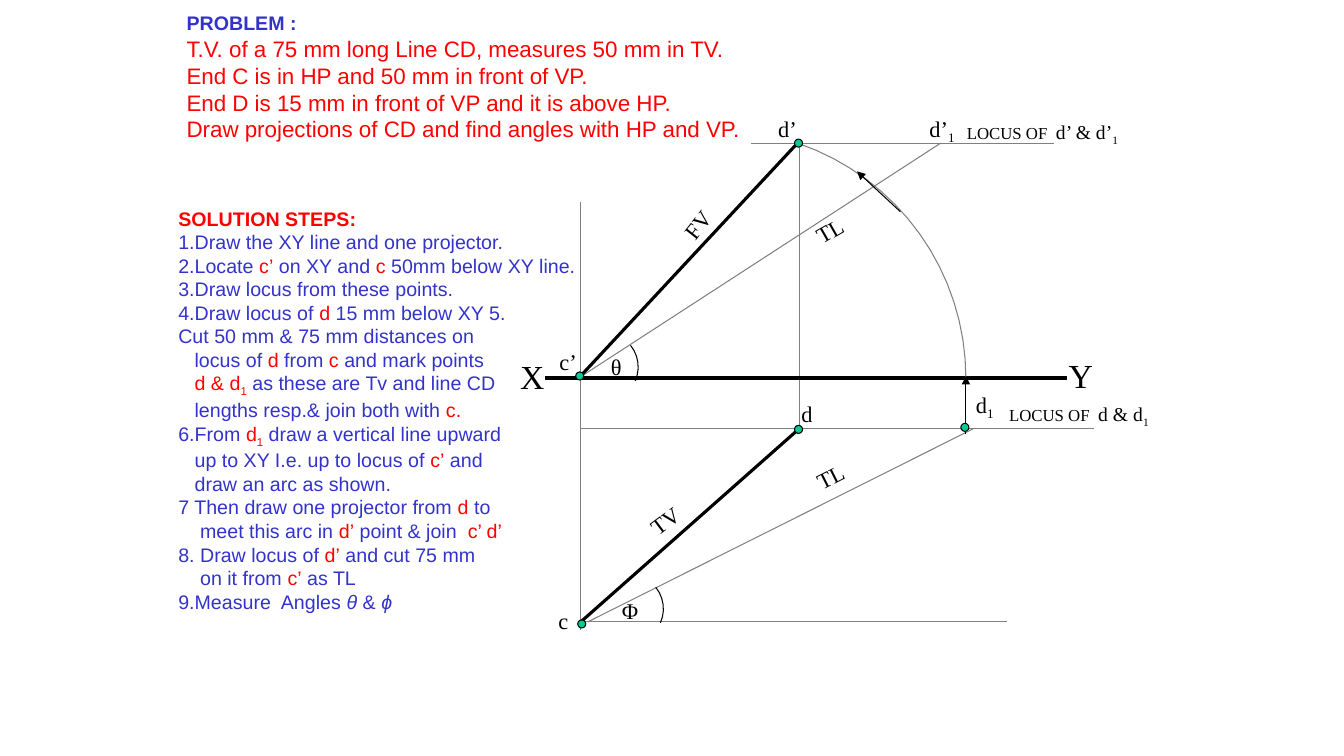
"""Build the projection-of-a-line slide: problem, solution steps and construction drawing."""
from dataclasses import dataclass
from math import cos, radians, sin

from lxml.etree import SubElement
from pptx import Presentation
from pptx.dml.color import RGBColor
from pptx.enum.shapes import MSO_CONNECTOR as Connector, MSO_SHAPE as Preset
from pptx.enum.text import MSO_ANCHOR as Anchor, PP_ALIGN as Align
from pptx.oxml.ns import qn
from pptx.util import Inches, Pt


@dataclass(frozen=True)
class Theme:
    black: str = "000000"
    grey: str = "808080"
    blue: str = "3333CC"
    red: str = "FF0000"
    green: str = "00CC99"
    sans: str = "Arial"
    serif: str = "Times New Roman"
    axis_size: int = 24
    label_size: int = 16
    body_size: int = 14
    small_size: int = 12
    thin: float = 0.75
    thick: float = 2.25


THEME = Theme()
WIDTH, HEIGHT = 13.33, 7.5
MARKS = "*_/!-+%"

PROBLEM = [
    "!%PROBLEM :| ",
    "T.V. of a 75 mm long Line CD, measures 50 mm in TV.",
    "End C is in HP and 50 mm in front of VP.",
    "End D is 15 mm in front of VP and it is above HP.",
    "Draw projections of CD and find angles with HP and VP.",
]

STEPS = [
    (0, "*!SOLUTION STEPS:"),
    (0, "1.Draw the XY line and one projector."),
    (0, "2.Locate |*c’| on XY and |*c |50mm below XY line."),
    (0, "3.Draw locus from these points."),
    (0, "4.Draw locus of |*d |15 mm below XY 5."),
    (0, "Cut 50 mm & 75 mm distances on"),
    (3, "locus of |*d| from|* c| and mark points"),
    (3, "*d & d|*_1| as these are Tv and line CD"),
    (3, "lengths resp.& join both with |*c."),
    (0, "6.From |*d|*_1| draw a vertical line upward"),
    (3, "up to XY I.e. up to locus of |*c’| and"),
    (3, "draw an arc as shown."),
    (0, "7 Then draw one projector from |*d| to"),
    (4, "meet this arc in |*d’| point & join  |*c’ d’"),
    (0, "8. Draw locus of|* d’| and cut 75 mm"),
    (4, "on it from |*c’| as TL"),
    (0, "9.Measure  Angles |/θ |& |/ϕ"),
]

C_FRONT_COL, C_COL, D_COL, D1_COL = 5.74, 5.76, 7.93, 9.58
TOP_ROW, XY_ROW, D_ROW, C_ROW = 1.42, 3.75, 4.25, 6.17

THIN_LINES = [
    ((C_COL, 2), (C_COL, 6.25)),
    ((C_COL, D_ROW), (10.85, D_ROW)),
    ((5.83, C_ROW), (9.66, D_ROW)),
    ((D_COL, D_ROW), (D_COL, TOP_ROW)),
    ((7.45, TOP_ROW), (10.45, TOP_ROW)),
    ((C_FRONT_COL, XY_ROW), (9.33, TOP_ROW)),
    ((C_FRONT_COL, C_ROW), (9.99, C_ROW)),
]
THICK_LINES = [
    ((5.41, XY_ROW), (10.58, XY_ROW)),
    ((C_COL, C_ROW), (D_COL, D_ROW)),
    ((7.91, TOP_ROW), (C_FRONT_COL, XY_ROW)),
]
ARROWS = [((8.93, 2.1), (8.5, 1.7)), ((D1_COL, 4.31), (D1_COL, 3.73))]
ARCS = [
    ((7.12, XY_ROW), 2.46, -71, 0, 16, THEME.grey),
    ((5.99, 3.64), 0.34, -39, 24, 6, THEME.black),
    ((6.24, 6.04), 0.34, -39, 24, 6, THEME.black),
]
DOT = 0.08
DOTS = [(5.75, 3.73), (5.77, 6.19), (7.92, 4.26), (9.57, 4.24), (7.92, TOP_ROW)]

LABELS = [
    ("c’", 5.45, 3.4, 0.38), ("c", 5.44, 5.97, 0.3), ("d", 7.85, 3.92, 0.31),
    ("d|_1", 9.58, 3.83, 0.39), ("d’", 7.62, 1.09, 0.39), ("d’|_1", 9.12, 1.09, 0.46),
    ("θ", 5.96, 3.45, 0.32), ("Φ", 6.07, 5.88, 0.37),
]
AXIS_LABELS = [("X", 5.06, 3.48, 0.44), ("Y", 10.5, 3.47, 0.44)]
LOCUS_LABELS = [
    ("-LOCUS OF|+ |d & d|_1", 9.91, 3.8, 1.6),
    ("-LOCUS OF|+ |d’ & d’|_1", 9.49, 1, 1.72),
]
TILTED_LABELS = [
    ("TV", 6.33, 4.92, 323.2), ("FV", 6.64, 1.97, 308.3),
    ("TL", 7.99, 4.5, 333.2), ("TL", 7.98, 2.05, 330.1),
]
MARK_SIZES = {"-": THEME.small_size, "+": THEME.axis_size, "%": THEME.body_size}


def color(code):
    return RGBColor.from_string(code)


def write(paragraph, markup, font_name, size, ink):
    paragraph.font.name, paragraph.font.size = font_name, Pt(size)
    paragraph.font.color.rgb = color(ink)
    for piece in markup.split("|"):
        text = piece.lstrip(MARKS)
        marks = piece[:len(piece) - len(text)]
        run = paragraph.add_run()
        run.text = text
        if "*" in marks:
            run.font.color.rgb = color(THEME.red)
        if "!" in marks:
            run.font.bold = True
        if "/" in marks:
            run.font.italic = True
        if "_" in marks:
            run.font._element.set("baseline", "-25000")
        for mark in MARK_SIZES.keys() & set(marks):
            run.font.size = Pt(MARK_SIZES[mark])


def place(shape, left, top, width, height):
    shape.left, shape.top = Inches(left), Inches(top)
    shape.width, shape.height = Inches(width), Inches(height)


def add_problem(slide):
    title = slide.shapes.title
    place(title, 1.75, 0.03, 5.76, 1.45)
    frame = title.text_frame
    frame.word_wrap, frame.vertical_anchor = False, Anchor.TOP
    for index, line in enumerate(PROBLEM):
        paragraph = frame.add_paragraph() if index else frame.paragraphs[0]
        paragraph.alignment = Align.LEFT
        ink = THEME.red if index else THEME.blue
        write(paragraph, line, THEME.sans, THEME.label_size, ink)


def add_steps(slide):
    frame = slide.shapes.add_textbox(*map(Inches, (1.67, 2, 4.15, 4.11))).text_frame
    for index, (spaces, line) in enumerate(STEPS):
        paragraph = frame.add_paragraph() if index else frame.paragraphs[0]
        write(paragraph, line, THEME.sans, THEME.body_size, THEME.blue)
        properties = paragraph._p.get_or_add_pPr()
        properties.set("marL", str(Inches(spaces * 0.054)))
        properties.set("indent", "0")


def add_label(slide, markup, left, top, width, height, size, angle=0):
    box = slide.shapes.add_textbox(*map(Inches, (left, top, width, height)))
    box.rotation = angle
    write(box.text_frame.paragraphs[0], markup, THEME.serif, size, THEME.black)


def add_line(slide, start, end, ink, weight, arrow=False):
    line = slide.shapes.add_connector(Connector.STRAIGHT, *map(Inches, start + end))
    line.line.color.rgb, line.line.width = color(ink), Pt(weight)
    if arrow:
        SubElement(line.line._get_or_add_ln(), qn("a:tailEnd"), type="triangle")
    SubElement(line._element.spPr, qn("a:effectLst"))


def add_arc(slide, center, radius, start, end, steps, ink):
    angles = [radians(start + (end - start) * step / steps) for step in range(steps + 1)]
    points = [(Inches(center[0] + radius * cos(angle)), Inches(center[1] + radius * sin(angle)))
              for angle in angles]
    builder = slide.shapes.build_freeform(*map(Inches, center))
    builder.move_to(*points[0])
    builder.add_line_segments(points[1:], close=False)
    arc = builder.convert_to_shape()
    arc.shadow.inherit = False
    arc.fill.background()
    arc.line.color.rgb, arc.line.width = color(ink), Pt(THEME.thin)


def add_dot(slide, x, y):
    dot = slide.shapes.add_shape(
        Preset.OVAL, *map(Inches, (x - DOT / 2, y - DOT / 2, DOT, DOT)))
    dot.shadow.inherit = False
    dot.fill.solid()
    dot.fill.fore_color.rgb = color(THEME.green)
    dot.line.color.rgb, dot.line.width = color(THEME.black), Pt(THEME.thin)


def main():
    presentation = Presentation()
    presentation.slide_width, presentation.slide_height = Inches(WIDTH), Inches(HEIGHT)
    slide = presentation.slides.add_slide(presentation.slide_layouts[5])
    add_problem(slide)
    for ends in THIN_LINES:
        add_line(slide, *ends, THEME.grey, THEME.thin)
    for ends in THICK_LINES:
        add_line(slide, *ends, THEME.black, THEME.thick)
    for arc in ARCS:
        add_arc(slide, *arc)
    for ends in ARROWS:
        add_line(slide, *ends, THEME.black, THEME.thin, arrow=True)
    for center in DOTS:
        add_dot(slide, *center)
    for labels, height, size in ((LABELS, 0.37, THEME.label_size),
                                 (AXIS_LABELS, 0.5, THEME.axis_size),
                                 (LOCUS_LABELS, 0.5, THEME.body_size)):
        for label in labels:
            add_label(slide, *label, height, size)
    for markup, left, top, angle in TILTED_LABELS:
        add_label(slide, markup, left, top, 0.68, 0.37, THEME.label_size, angle)
    add_steps(slide)
    presentation.save("out.pptx")


if __name__ == "__main__":
    main()
